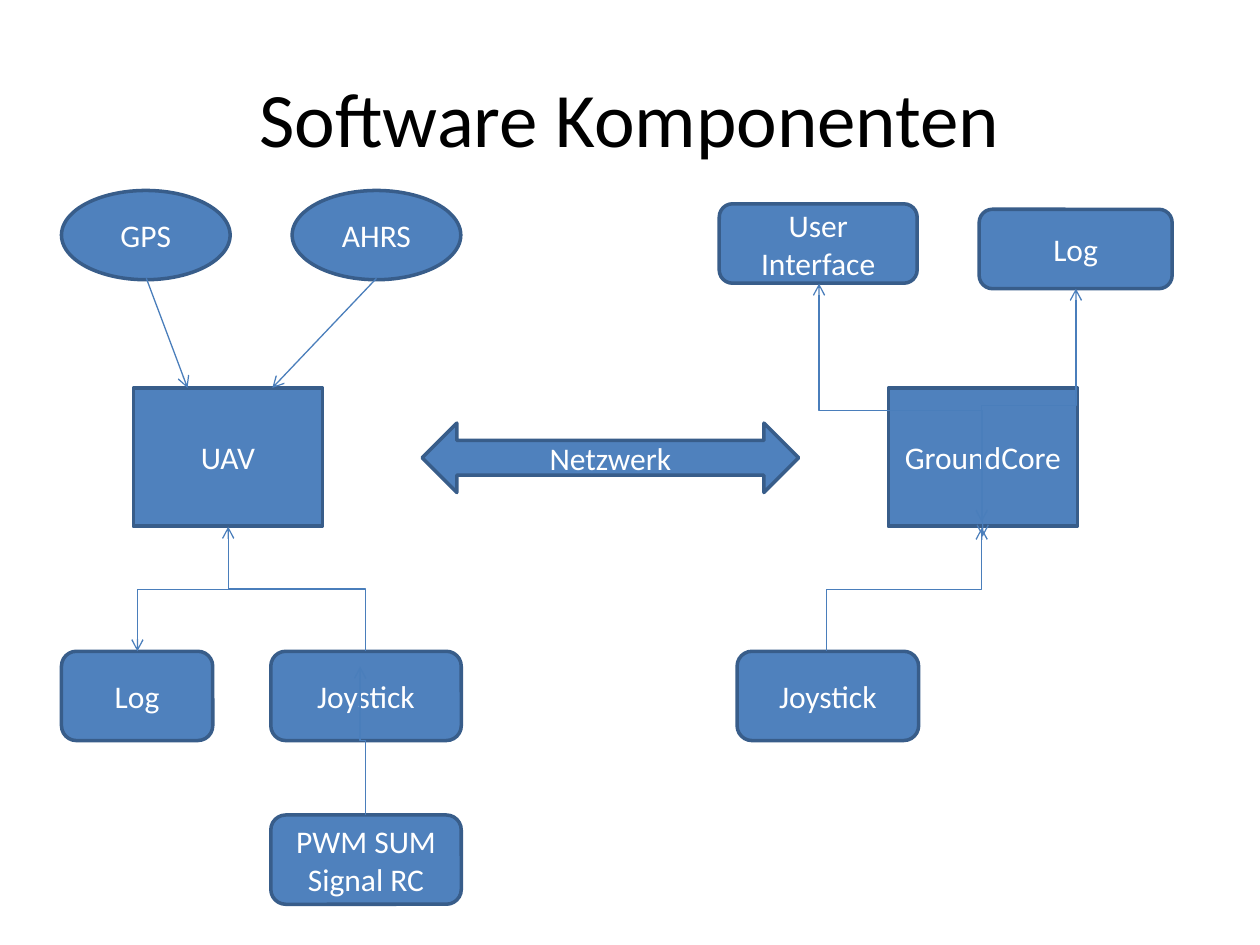
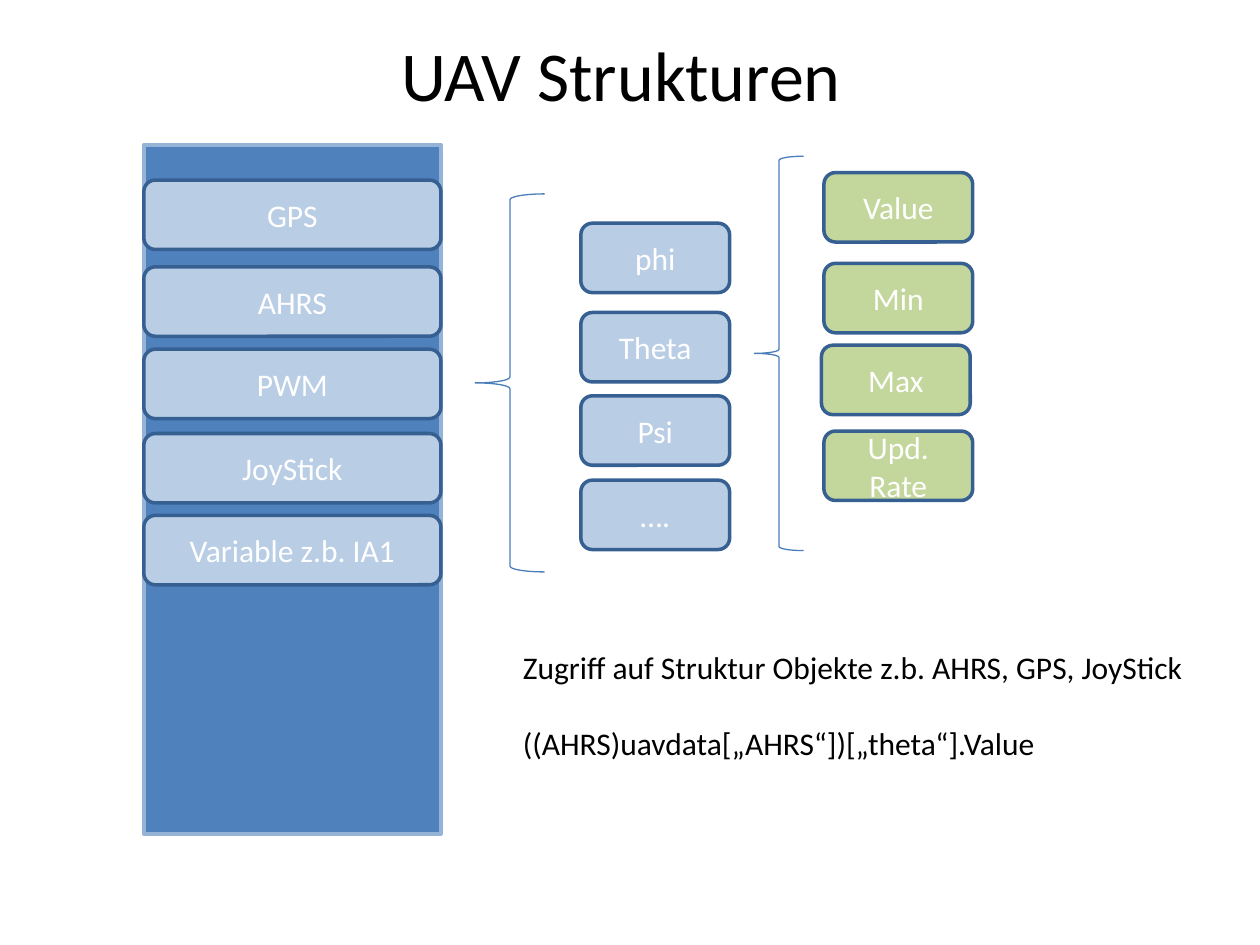
from lxml.etree import SubElement
from pptx import Presentation
from pptx.dml.color import RGBColor
from pptx.enum.shapes import MSO_CONNECTOR, MSO_SHAPE
from pptx.enum.text import MSO_ANCHOR, PP_ALIGN
from pptx.oxml.ns import qn
from pptx.util import Cm, Pt

FONT = "Calibri"
BLUE, BLUE_EDGE, CONNECTOR = "4F81BD", "385D8A", "4A7EBB"
PALE_BLUE, GREEN, FIELD_EDGE, COLUMN_EDGE = "B9CDE5", "C3D69B", "376092", "95B3D7"
WHITE, BLACK = "FFFFFF", "000000"


def write(paragraph, text, size, color, align=PP_ALIGN.CENTER):
    paragraph.alignment = align
    run = paragraph.add_run()
    run.text = text
    run.font.name = FONT
    run.font.size = Pt(size)
    run.font.color.rgb = RGBColor.from_string(color)


def add_block(slide, kind, text, box, fill=BLUE, edge=BLUE_EDGE, weight=2):
    block = slide.shapes.add_shape(kind, *map(Cm, box))
    block.shadow.inherit = False
    if fill:
        block.fill.solid()
        block.fill.fore_color.rgb = RGBColor.from_string(fill)
    else:
        block.fill.background()
    block.line.color.rgb = RGBColor.from_string(edge)
    block.line.width = Pt(weight)
    if text:
        block.text_frame.word_wrap = True
        block.text_frame.vertical_anchor = MSO_ANCHOR.MIDDLE
        write(block.text_frame.paragraphs[0], text, 18, WHITE)


prs = Presentation()
prs.slide_width, prs.slide_height = Cm(25.4), Cm(19.05)

# Slides and titles
slides = []
for heading, size, box in [
    ("Software Komponenten", 44, (1.27, 0.76, 22.86, 3.18)),
    ("UAV Strukturen", 40, (1.09, 0.58, 22.86, 1.8)),
]:
    slide = prs.slides.add_slide(prs.slide_layouts[6])
    title = slide.shapes.add_textbox(*map(Cm, box)).text_frame
    title.word_wrap = True
    title.vertical_anchor = MSO_ANCHOR.MIDDLE
    write(title.paragraphs[0], heading, size, BLACK)
    slides.append(slide)
components, structures = slides

# Slide 1: components
RECT, ROUND, OVAL = MSO_SHAPE.RECTANGLE, MSO_SHAPE.ROUNDED_RECTANGLE, MSO_SHAPE.OVAL
for kind, text, box in [
    (RECT, "UAV", (2.69, 7.82, 3.81, 2.79)),
    (RECT, "GroundCore", (17.91, 7.82, 3.81, 2.79)),
    (MSO_SHAPE.LEFT_RIGHT_ARROW, "Netzwerk", (8.51, 8.53, 7.59, 1.4)),
    (OVAL, "GPS", (1.24, 3.84, 3.4, 1.8)),
    (OVAL, "AHRS", (5.89, 3.84, 3.4, 1.8)),
    (ROUND, "Log", (1.24, 13.13, 3.05, 1.8)),
    (ROUND, "User Interface", (14.5, 4.11, 3.99, 1.6)),
    (ROUND, "Log", (19.74, 4.22, 3.89, 1.6)),
    (ROUND, "Joystick", (14.86, 13.13, 3.66, 1.8)),
    (ROUND, "Joystick", (5.46, 13.13, 3.84, 1.8)),
    (ROUND, "PWM SUM Signal RC", (5.46, 16.43, 3.84, 1.8)),
]:
    add_block(components, kind, text, box)

# Slide 1: sensor arrows
links = []
for ends in [(2.95, 5.61, 3.78, 7.82), (7.59, 5.61, 5.49, 7.82)]:
    link = components.shapes.add_connector(MSO_CONNECTOR.STRAIGHT, *map(Cm, ends))
    links.append((link, ["tailEnd"]))

# Slide 1: elbow arrows that leave vertically, so each is a turned horizontal elbow
one_way, two_way = ["tailEnd"], ["headEnd", "tailEnd"]
for x1, y1, x2, y2, heads in [
    (4.6, 10.64, 2.77, 13.13, one_way),
    (19.81, 10.82, 16.51, 5.72, two_way),
    (19.79, 10.52, 21.69, 5.82, two_way),
    (16.66, 13.13, 19.79, 10.64, one_way),
    (7.37, 16.43, 7.26, 13.44, one_way),
    (7.37, 13.13, 4.6, 10.62, one_way),
]:
    dx, dy = x2 - x1, y2 - y1
    mid_x, mid_y = (x1 + x2) / 2, (y1 + y2) / 2
    half_w, half_h = abs(dy) / 2, abs(dx) / 2
    ends = (mid_x - half_w, mid_y - half_h, mid_x + half_w, mid_y + half_h)
    link = components.shapes.add_connector(MSO_CONNECTOR.ELBOW, *map(Cm, ends))
    xfrm = link._element.spPr.find(qn("a:xfrm"))
    xfrm.set("rot", str((90 if dy > 0 else 270) * 60000))
    if dx * dy > 0:
        xfrm.set("flipV", "1")
    links.append((link, heads))

# Line style and arrowheads
for link, heads in links:
    link.line.color.rgb = RGBColor.from_string(CONNECTOR)
    link.line.width = Pt(0.75)
    for head in heads:
        SubElement(link.line._get_or_add_ln(), qn(f"a:{head}"), type="arrow")
    SubElement(link._element.spPr, qn("a:effectLst"))

# Slide 2: data column
add_block(structures, MSO_SHAPE.FLOWCHART_PROCESS, "", (2.9, 2.92, 5.99, 13.89),
          edge=COLUMN_EDGE)

# Slide 2: objects, their fields and the attributes of a field
for left, width, fill, entries in [
    (2.9, 5.99, PALE_BLUE, [("GPS", 3.63), ("AHRS", 5.38), ("PWM", 7.04),
                            ("JoyStick", 8.74), ("Variable z.b. IA1", 10.39)]),
    (11.71, 3, PALE_BLUE, [("phi", 4.5), ("Theta", 6.3), ("Psi", 7.98), ("….", 9.68)]),
    (16.61, 3, GREEN, [("Value", 3.48), ("Min", 5.31), ("Upd. Rate", 8.69)]),
    (16.56, 3, GREEN, [("Max", 6.96)]),
]:
    for text, top in entries:
        add_block(structures, ROUND, text, (left, top, width, 1.4), fill, FIELD_EDGE)

# Slide 2: braces
for box in [(9.58, 3.91, 1.4, 7.62), (15.21, 3.15, 0.99, 7.95)]:
    add_block(structures, MSO_SHAPE.LEFT_BRACE, "", box, None, CONNECTOR, 0.75)

# Slide 2: access example
access = structures.shapes.add_textbox(Cm(10.29), Cm(12.93), Cm(14.02), Cm(2.54)).text_frame
access.word_wrap = True
write(access.paragraphs[0], "Zugriff auf Struktur Objekte z.b. AHRS, GPS, JoyStick",
      18, BLACK, PP_ALIGN.LEFT)
example = access.add_paragraph()
example.space_before = Pt(22)
write(example, "((AHRS)uavdata[„AHRS“])[„theta“].Value", 18, BLACK, PP_ALIGN.LEFT)

prs.save("out.pptx")
